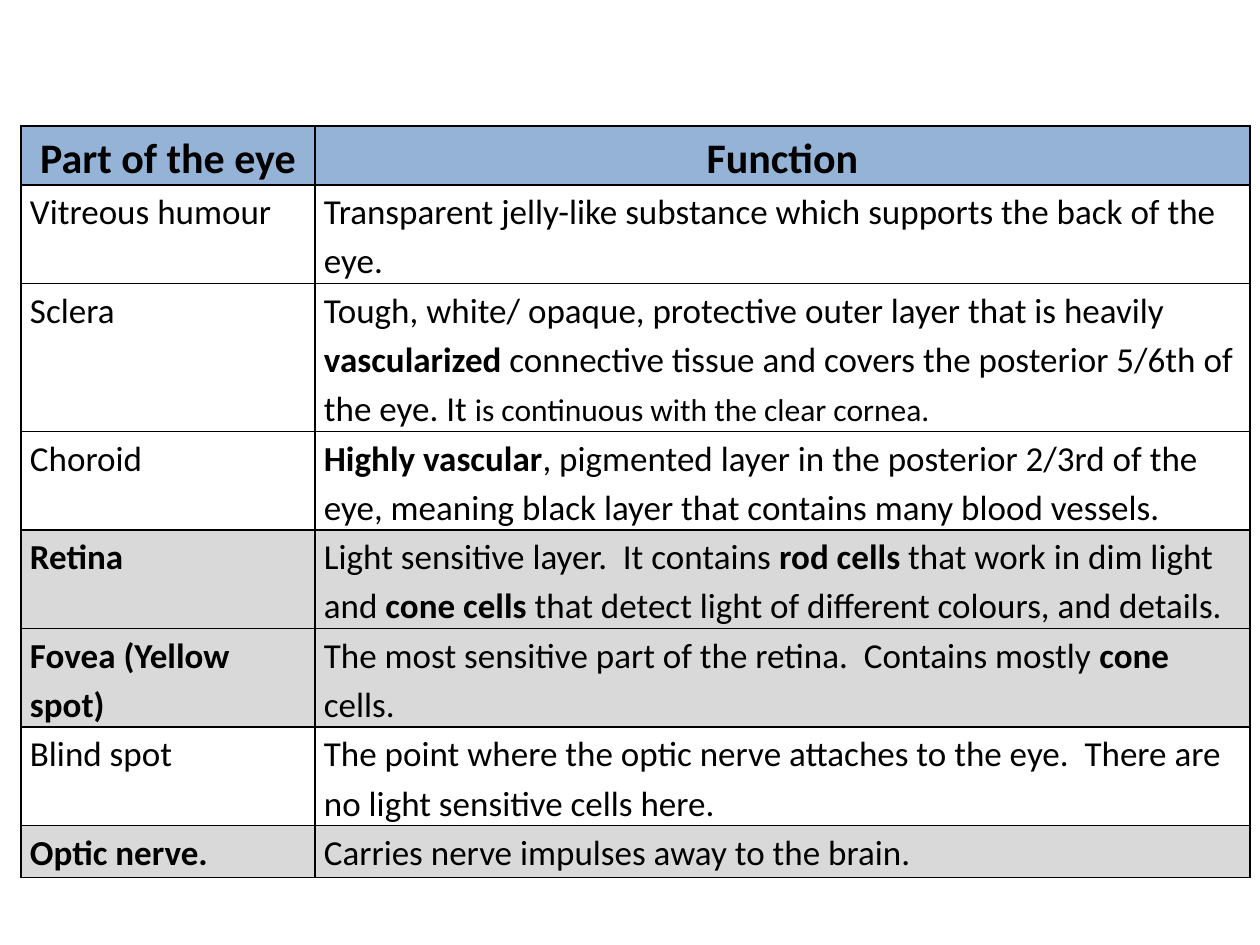
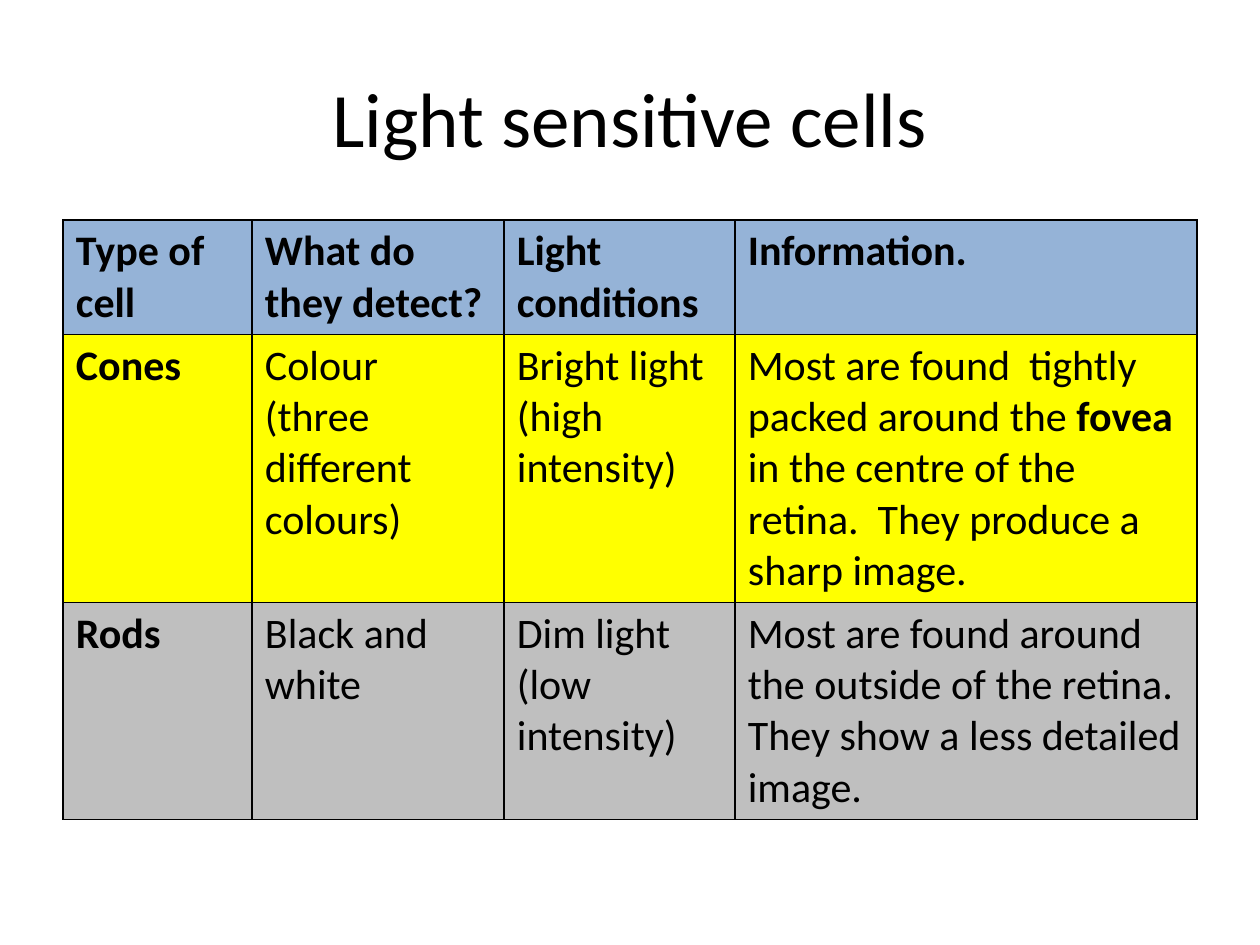
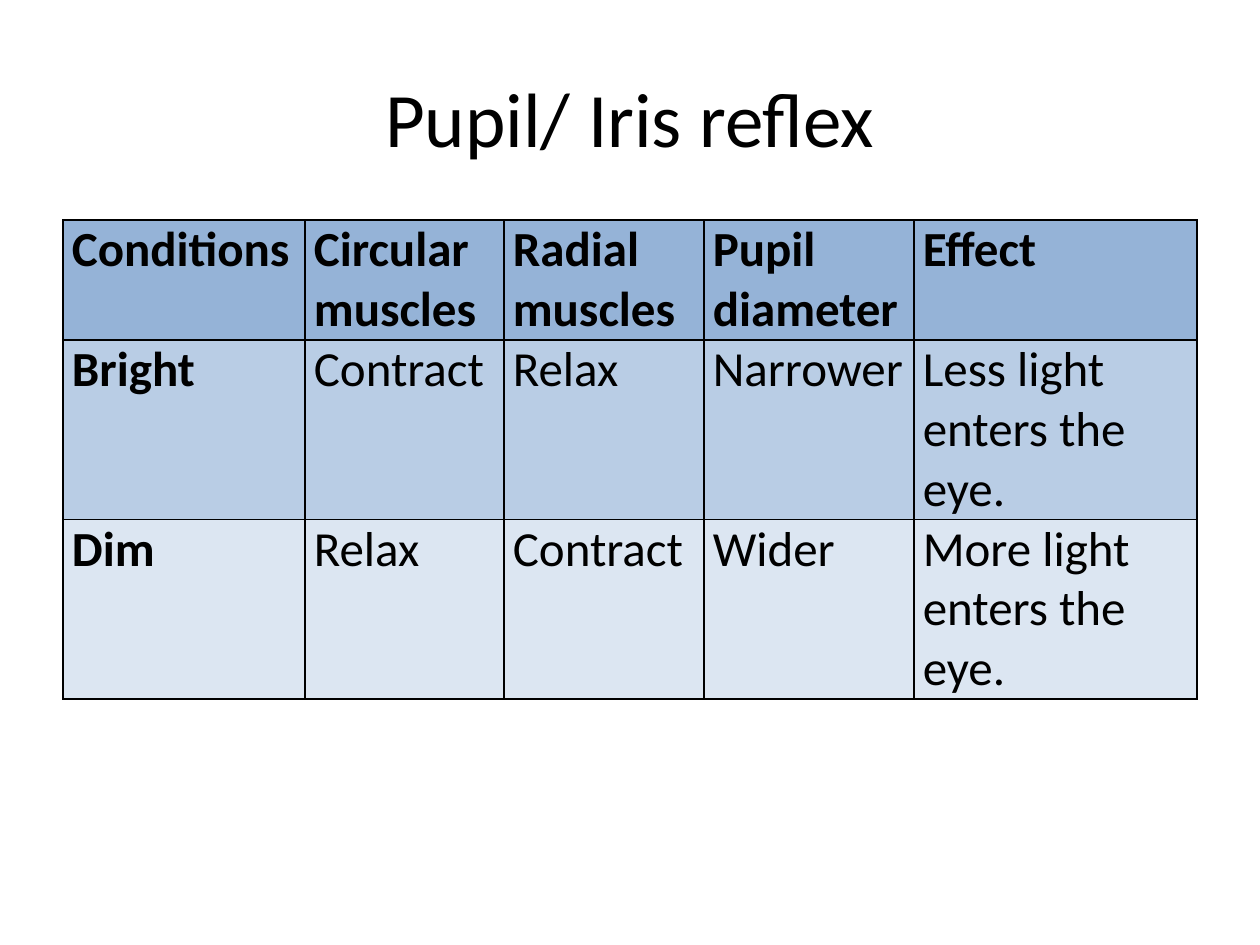
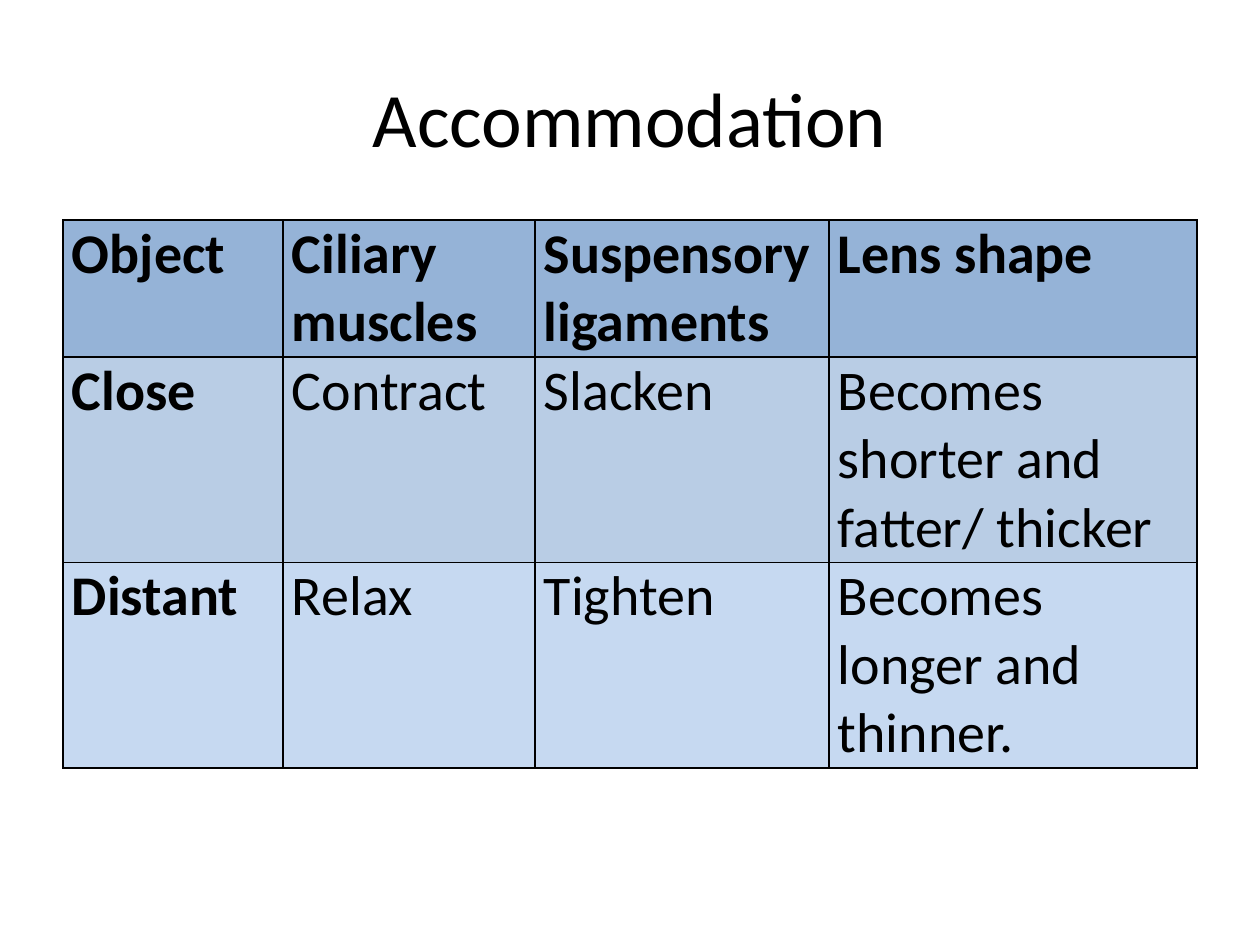
import pptx
import pptx.util
import pptx.oxml
import pptx.oxml.ns
import pptx.dml.color
import pptx.enum.text
from dataclasses import dataclass


@dataclass(frozen=True)
class Theme:
    font: str = "Calibri"
    ink: str = "000000"
    head: str = "95B3D7"
    light: str = "D9D9D9"
    grey: str = "BFBFBF"
    yellow: str = "FFFF00"
    blue: str = "B9CDE5"
    pale: str = "DCE6F2"
    sky: str = "C6D9F1"
    title: int = 44
    small: int = 18
    line: int = 1


THEME = Theme()
PX = pptx.util.Inches(1) // 126
ROW = 52
TITLE = (63, 38, 1134, 157)
TIGHT = (9, 0)
LOOSE = (13, 6)
ALIGN = pptx.enum.text.PP_ALIGN

# Each row is a fill and its cells. *Bold* and ^small^ words are marked in the text.
SLIDES = [
    dict(
        title=None, at=(21, 126), high=717, cols=(294, 935),
        head=24, body=20, inset=TIGHT, align=ALIGN.CENTER, space=1.15,
        rows=[
            (THEME.head, ["*Part of the eye*", "*Function*"]),
            (None, ["Vitreous humour",
                    "Transparent jelly-like substance which supports the back of the eye."]),
            (None, ["Sclera",
                    "Tough, white/ opaque, protective outer layer that is heavily "
                    "*vascularized* connective tissue and covers the posterior 5/6th "
                    "of the eye. It ^is continuous with the clear cornea.^"]),
            (None, ["Choroid",
                    "*Highly vascular*, pigmented layer in the posterior 2/3rd of the eye, "
                    "meaning black layer that contains many blood vessels."]),
            (THEME.light, ["*Retina*",
                           "Light sensitive layer.  It contains *rod cells* that work in dim "
                           "light and *cone cells* that detect light of different colours, "
                           "and details."]),
            (THEME.light, ["*Fovea (Yellow spot)*",
                           "The most sensitive part of the retina.  Contains mostly "
                           "*cone* cells."]),
            (None, ["Blind spot",
                    "The point where the optic nerve attaches to the eye.  "
                    "There are no light sensitive cells here."]),
            (THEME.light, ["*Optic nerve.*", "Carries nerve impulses away to the brain."]),
        ]),
    dict(
        title="Light sensitive cells", at=(63, 220), high=592, cols=(189, 252, 231, 462),
        head=24, body=24, inset=LOOSE, align=None, space=None,
        rows=[
            (THEME.head, ["*Type of cell*", "*What do they detect?*",
                          "*Light conditions*", "*Information.*"]),
            (THEME.yellow, ["*Cones*", "Colour\n(three different colours)",
                            "Bright light (high intensity)",
                            "Most are found  tightly packed around the *fovea* in the centre "
                            "of the retina.  They produce a sharp image."]),
            (THEME.grey, ["*Rods*", "Black and white", "Dim light  (low intensity)",
                          "Most are found around the outside of the retina.  "
                          "They show a less detailed image."]),
        ]),
    dict(
        title="Pupil/ Iris reflex", at=(63, 220), high=470, cols=(242, 199, 200, 210, 283),
        head=28, body=28, inset=TIGHT, align=None, space=None,
        rows=[
            (THEME.head, ["*Conditions*", "*Circular muscles*", "*Radial muscles*",
                          "*Pupil diameter*", "*Effect*"]),
            (THEME.blue, ["*Bright*", "Contract", "Relax", "Narrower",
                          "Less light enters the eye."]),
            (THEME.pale, ["*Dim*", "Relax", "Contract", "Wider",
                          "More light enters the eye."]),
        ]),
    dict(
        title="Accommodation", at=(63, 220), high=538, cols=(220, 252, 294, 368),
        head=32, body=32, inset=TIGHT, align=None, space=None,
        rows=[
            (THEME.head, ["*Object*", "*Ciliary muscles*", "*Suspensory ligaments*",
                          "*Lens shape*"]),
            (THEME.blue, ["*Close*", "Contract", "Slacken",
                          "Becomes shorter and fatter/ thicker"]),
            (THEME.sky, ["*Distant*", "Relax", "Tighten", "Becomes longer and thinner."]),
        ]),
]


def rgb(code):
    return pptx.dml.color.RGBColor.from_string(code)


def style(font, size, bold=False):
    font.name = THEME.font
    font.size = pptx.util.Pt(size)
    font.bold = bold
    font.color.rgb = rgb(THEME.ink)


def split(text):
    """Yield each piece of marked text with its bold and small flags."""
    for i, part in enumerate(text.split("*")):
        for j, piece in enumerate(part.split("^")):
            if piece:
                yield piece, i % 2 == 1, j % 2 == 1


def write(para, text, size):
    for piece, bold, small in split(text):
        run = para.add_run()
        run.text = piece
        style(run.font, THEME.small if small else size, bold)


def border(cell):
    props = cell._tc.get_or_add_tcPr()
    for side in "LRTB":
        props.append(pptx.oxml.parse_xml(
            f'<a:ln{side} {pptx.oxml.ns.nsdecls("a")} w="{pptx.util.Pt(THEME.line)}">'
            f'<a:solidFill><a:srgbClr val="{THEME.ink}"/></a:solidFill></a:ln{side}>'))


def paint(cell, color):
    if color:
        cell.fill.solid()
        cell.fill.fore_color.rgb = rgb(color)
    else:
        cell.fill.background()


def fill_cell(cell, text, color, size, align, data):
    border(cell)
    paint(cell, color)
    wide, tall = (n * PX for n in data["inset"])
    cell.margin_left = cell.margin_right = wide
    cell.margin_top = cell.margin_bottom = tall
    frame = cell.text_frame
    for i, line in enumerate(text.split("\n")):
        para = frame.add_paragraph() if i else frame.paragraphs[0]
        para.alignment = align
        para.line_spacing = data["space"]
        write(para, line, size)


def add_grid(slide, data):
    rows, cols = data["rows"], data["cols"]
    left, top = data["at"]
    box = slide.shapes.add_table(len(rows), len(cols), left * PX, top * PX,
                                 sum(cols) * PX, data["high"] * PX)
    grid = box.table
    grid.first_row = grid.horz_banding = False
    for col, wide in zip(grid.columns, cols):
        col.width = wide * PX
    for r, (color, texts) in enumerate(rows):
        grid.rows[r].height = ROW * PX
        size = data["body"] if r else data["head"]
        align = None if r else data["align"]
        for c, text in enumerate(texts):
            fill_cell(grid.cell(r, c), text, color, size, align, data)
    box.height = data["high"] * PX


def add_title(slide, text):
    title = slide.shapes.title
    title.left, title.top, title.width, title.height = (n * PX for n in TITLE)
    frame = title.text_frame
    frame.text = text
    frame.vertical_anchor = pptx.enum.text.MSO_ANCHOR.MIDDLE
    para = frame.paragraphs[0]
    para.alignment = ALIGN.CENTER
    style(para.runs[0].font, THEME.title)


def main():
    deck = pptx.Presentation()
    deck.slide_width, deck.slide_height = 1260 * PX, 945 * PX
    for data in SLIDES:
        layout = deck.slide_layouts.get_by_name("Title Only" if data["title"] else "Blank")
        slide = deck.slides.add_slide(layout)
        if data["title"]:
            add_title(slide, data["title"])
        add_grid(slide, data)
    deck.save("out.pptx")


if __name__ == "__main__":
    main()
